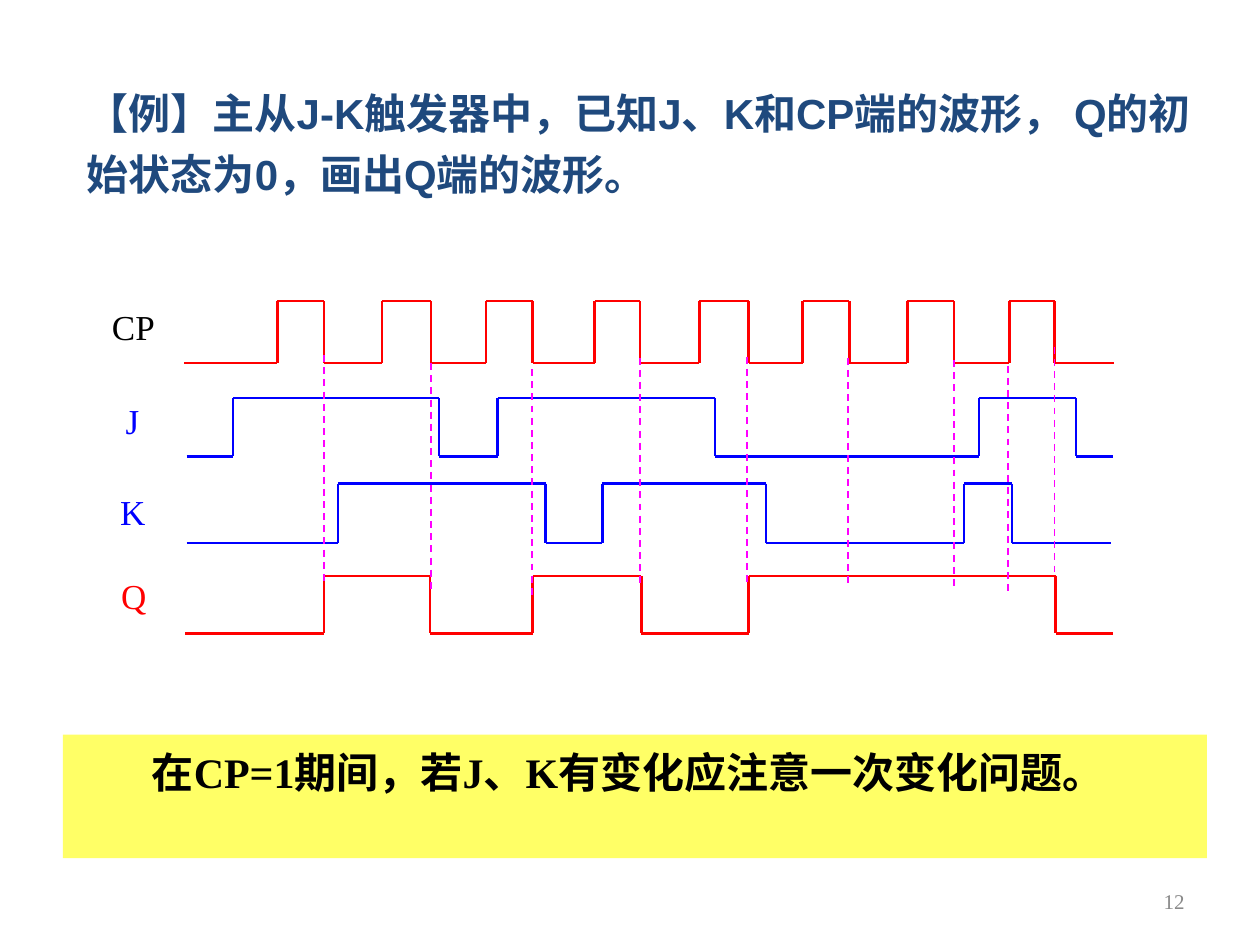
from lxml.etree import SubElement
from pptx import Presentation
from pptx.dml.color import RGBColor
from pptx.enum.dml import MSO_LINE
from pptx.enum.shapes import MSO_CONNECTOR, MSO_SHAPE
from pptx.enum.text import MSO_ANCHOR, PP_ALIGN
from pptx.oxml.ns import qn
from pptx.util import Cm, Pt

RED, BLUE, MAGENTA, BLACK = "FF0000", "0000FF", "FF00FF", "000000"
SERIF = "Times New Roman"
INSETS = (0.25, 0.13)


def color(hex_string):
    return RGBColor.from_string(hex_string)


class TimingSlide:
    def __init__(self, deck):
        self.slide = deck.slides.add_slide(deck.slide_layouts[6])

    def line(self, start, end, hex_color, width=1.5, dash=None):
        connector = self.slide.shapes.add_connector(
            MSO_CONNECTOR.STRAIGHT, *map(Cm, start + end))
        connector.line.color.rgb = color(hex_color)
        connector.line.width = Pt(width)
        if dash:
            connector.line.dash_style = dash
        SubElement(connector._element.spPr, qn("a:effectLst"))

    def wave(self, start, end, low, high, edges, hex_color):
        """Draw a signal that begins low and toggles at each edge."""
        left, level, other = start, low, high
        for edge in edges:
            self.line((left, level), (edge, level), hex_color)
            self.line((edge, level), (edge, other), hex_color)
            left, level, other = edge, other, level
        self.line((left, level), (end, level), hex_color)

    def fill_text(self, shape, text, size, hex_color, font=SERIF, bold=False,
                  align=PP_ALIGN.LEFT, anchor=MSO_ANCHOR.TOP, spacing=1.0,
                  insets=INSETS):
        """Set and format the only paragraph of a shape, and return it."""
        frame = shape.text_frame
        frame.word_wrap = True
        frame.vertical_anchor = anchor
        frame.margin_left = frame.margin_right = Cm(insets[0])
        frame.margin_top = frame.margin_bottom = Cm(insets[1])
        para = frame.paragraphs[0]
        para.text = text
        para.alignment = align
        para.line_spacing = spacing
        span = para.runs[0]
        span.font.name, span.font.size, span.font.bold = font, Pt(size), bold
        span.font.color.rgb = color(hex_color)
        return para

    def text(self, bounds, text, size, hex_color, **style):
        box = self.slide.shapes.add_textbox(*map(Cm, bounds))
        self.fill_text(box, text, size, hex_color, **style)

    def label(self, bounds, text, hex_color, spacing=1.0):
        self.text(bounds, text, 20, hex_color, align=PP_ALIGN.CENTER,
                  spacing=spacing, insets=(0, 0))

    def banner(self, bounds, text, fill, first_line_indent):
        box = self.slide.shapes.add_shape(MSO_SHAPE.RECTANGLE, *map(Cm, bounds))
        box.shadow.inherit = False
        box.fill.solid()
        box.fill.fore_color.rgb = color(fill)
        box.line.fill.background()
        para = self.fill_text(box, text, 24, BLACK, bold=True, spacing=1.1)
        para._p.get_or_add_pPr().set("indent", str(Cm(first_line_indent)))


def main():
    deck = Presentation()
    deck.slide_width, deck.slide_height = Cm(25.4), Cm(19.05)
    page = TimingSlide(deck)

    page.text((18.21, 17.65, 5.92, 1.02), "12", 12, "898989",
              align=PP_ALIGN.RIGHT, anchor=MSO_ANCHOR.MIDDLE)
    page.text((1.5, 1.52, 23.19, 2.54),
              "【例】主从J-K触发器中，已知J、K和CP端的波形， Q的初始状态为0，画出Q端的波形。",
              24, "1F497D", font="Arial", bold=True,
              anchor=MSO_ANCHOR.MIDDLE, spacing=1.2)

    page.label((2.03, 6.32, 1.32, 0.58), "CP", BLACK, spacing=0.8)
    page.label((2.24, 8.05, 0.86, 1.3), "J", BLUE)
    page.label((2.16, 9.88, 1.04, 0.99), "K", BLUE)
    page.label((2.18, 11.58, 1.04, 0.99), "Q", RED)

    clock_edges = (5.59, 6.53, 7.7, 8.69, 9.8, 10.74, 11.99, 12.9,
                   14.1, 15.09, 16.18, 17.12, 18.29, 19.23, 20.35, 21.26)
    page.wave(3.71, 22.45, 7.32, 6.07, clock_edges, RED)
    page.wave(3.76, 22.43, 9.2, 8.02,
              (4.7, 8.85, 10.03, 14.41, 19.74, 21.69), BLUE)
    page.wave(3.76, 22.4, 10.95, 9.75,
              (6.81, 11, 12.14, 15.44, 19.43, 20.4), BLUE)
    page.wave(3.73, 22.43, 12.77, 11.61,
              (6.53, 8.67, 10.74, 12.93, 15.09, 21.28), RED)

    guide_length = 4.59
    guides = ((6.53, 7.16), (8.69, 7.32), (10.72, 7.44), (12.9, 7.21),
              (15.06, 7.19), (17.09, 7.21), (19.23, 7.26), (20.32, 7.37),
              (21.26, 6.99))
    for x, top in guides:
        page.line((x, top), (x, top + guide_length), MAGENTA, 1, MSO_LINE.DASH)

    page.banner((1.27, 14.81, 23.06, 2.49),
                "在CP=1期间，若J、K有变化应注意一次变化问题。", "FFFF66", 1.54)
    deck.save("out.pptx")


if __name__ == "__main__":
    main()
